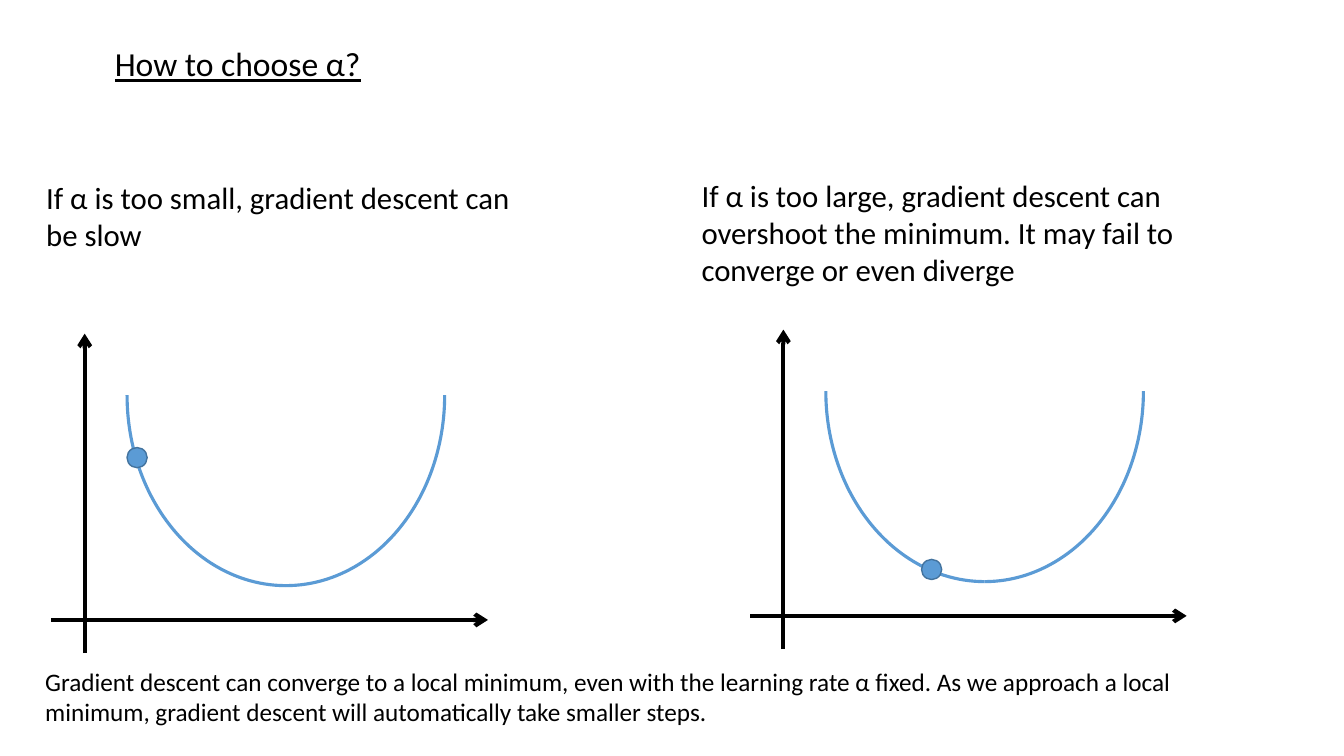
"""Build a slide on choosing the learning rate of gradient descent."""
from lxml.etree import SubElement
from pptx import Presentation
from pptx.dml.color import RGBColor
from pptx.enum.shapes import MSO_CONNECTOR, MSO_SHAPE
from pptx.enum.text import MSO_AUTO_SIZE
from pptx.oxml.ns import qn
from pptx.util import Inches, Pt

BLACK = RGBColor(0x00, 0x00, 0x00)
BLUE = RGBColor(0x5B, 0x9B, 0xD5)
DARK_BLUE = RGBColor(0x43, 0x73, 0x9E)


def add_text(s, box, text, wrap=True, **font):
    sp = s.shapes.add_textbox(*map(Inches, box))
    tf = sp.text_frame
    tf.word_wrap = wrap
    tf.auto_size = MSO_AUTO_SIZE.SHAPE_TO_FIT_TEXT
    r = tf.paragraphs[0].add_run()
    r.text = text
    r.font.color.rgb = BLACK
    for name, value in {"name": "Calibri", **font}.items():
        setattr(r.font, name, value)


def add_axis(s, *ends):
    axis = s.shapes.add_connector(MSO_CONNECTOR.STRAIGHT, *map(Inches, ends))
    axis.line.color.rgb = BLACK
    axis.line.width = Pt(3)
    SubElement(axis.line._get_or_add_ln(), qn("a:tailEnd"), type="arrow")
    SubElement(axis._element.spPr, qn("a:effectLst"))


prs = Presentation()
prs.slide_width = Inches(13.33)
prs.slide_height = Inches(7.5)
s = prs.slides.add_slide(prs.slide_layouts[6])

add_text(s, (1.04, 0.38, 2.66, 0.5), "How to choose α?", wrap=False,
         size=Pt(24), underline=True)

panels = [
    ((0.36, 1.72, 4.97, 0.84),
     "If α is too small, gradient descent can be slow",
     (0.84, 6.15), (1.26, 4.44)),
    ((6.86, 1.7, 5.54, 1.21),
     "If α is too large, gradient descent can overshoot the minimum. "
     "It may fail to converge or even diverge",
     (7.77, 6.11), (9.14, 5.55)),
]
for box, text, (x, y), dot_at in panels:
    add_text(s, box, text, size=Pt(22))
    add_axis(s, x, y + 0.33, x, y - 2.84)
    add_axis(s, x - 0.33, y, x + 4, y)

    for flipped in (False, True):
        arc = s.shapes.add_shape(MSO_SHAPE.ARC, Inches(x + 0.42), Inches(y - 4.12),
                                 Inches(3.15), Inches(3.78))
        arc.rotation = 180
        if flipped:
            arc._element.spPr.xfrm.set("flipH", "1")
        arc.shadow.inherit = False
        arc.fill.background()
        arc.line.color.rgb = BLUE
        arc.line.width = Pt(2.25)

    dot = s.shapes.add_shape(MSO_SHAPE.OVAL, *map(Inches, (*dot_at, 0.2, 0.2)))
    dot.shadow.inherit = False
    dot.fill.solid()
    dot.fill.fore_color.rgb = BLUE
    dot.line.color.rgb = DARK_BLUE
    dot.line.width = Pt(1)

add_text(s, (0.35, 6.56, 12.36, 0.71),
         "Gradient descent can converge to a local minimum, even with the learning "
         "rate α fixed. As we approach a local minimum, gradient descent will "
         "automatically take smaller steps.", size=Pt(18))

prs.save("out.pptx")
